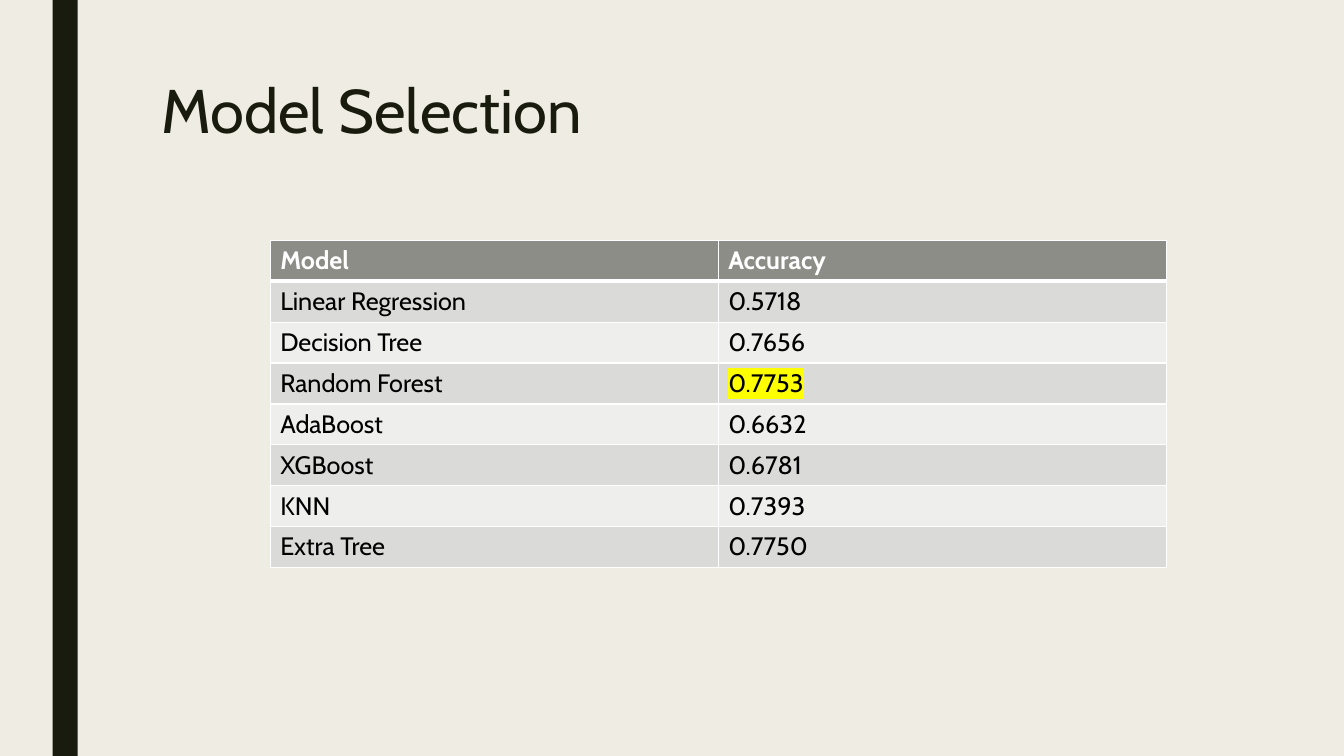
from lxml.etree import SubElement
from pptx import Presentation
from pptx.dml.color import RGBColor
from pptx.enum.shapes import MSO_SHAPE
from pptx.enum.text import MSO_ANCHOR
from pptx.oxml.ns import qn
from pptx.util import Pt

FONT = "Cabin"
CREAM = RGBColor(0xEF, 0xED, 0xE3)
DARK = RGBColor(0x19, 0x1B, 0x0E)
WHITE = RGBColor(0xFF, 0xFF, 0xFF)
BLACK = RGBColor(0x00, 0x00, 0x00)
HEADER_GRAY = RGBColor(0x8C, 0x8D, 0x86)
BANDS = (RGBColor(0xEE, 0xEE, 0xED), RGBColor(0xDA, 0xDB, 0xD9))
YELLOW = RGBColor(0xFF, 0xFF, 0x00)

HEADER = ("Model", "Accuracy")
SCORES = (
    ("Linear Regression", "0.5718"),
    ("Decision Tree", "0.7656"),
    ("Random Forest", "0.7753"),
    ("AdaBoost", "0.6632"),
    ("XGBoost", "0.6781"),
    ("KNN", "0.7393"),
    ("Extra Tree", "0.7750"),
)
BEST = max(score for model, score in SCORES)


def style_font(font, size, color, bold=False):
    """Set the typeface, size, colour and weight of a font."""
    font.name = FONT
    font.size = Pt(size)
    font.color.rgb = color
    font.bold = bold


def add_color(parent, tag, color):
    """Append an element that holds one RGB colour."""
    SubElement(SubElement(parent, qn(tag)), qn("a:srgbClr"), val=str(color))


def add_side_bar(page, left, top, width, height):
    """Draw the dark vertical bar."""
    bar = page.shapes.add_shape(MSO_SHAPE.RECTANGLE, Pt(left), Pt(top), Pt(width), Pt(height))
    bar.shadow.inherit = False
    bar.fill.solid()
    bar.fill.fore_color.rgb = DARK
    bar.line.fill.background()


def add_title(page, text, left, top, width, height):
    """Place the slide title at the top of its box."""
    box = page.shapes.add_textbox(Pt(left), Pt(top), Pt(width), Pt(height))
    frame = box.text_frame
    frame.word_wrap = True
    frame.vertical_anchor = MSO_ANCHOR.TOP
    para = frame.paragraphs[0]
    para.text = text
    para.line_spacing = 0.89
    style_font(para.font, 44, DARK)


def add_borders(cell, bottom, top):
    """Give a cell white borders."""
    properties = cell._tc.get_or_add_tcPr()
    for side, width in (("L", 1), ("R", 1), ("T", top), ("B", bottom)):
        line = SubElement(properties, qn(f"a:ln{side}"), w=str(Pt(width)))
        add_color(line, "a:solidFill", WHITE)


def add_score_table(page, left, top, width, height):
    """Fill the box with the accuracy table, marking the best score."""
    rows = (HEADER,) + SCORES
    frame = page.shapes.add_table(len(rows), len(HEADER), Pt(left), Pt(top), Pt(width), Pt(height))
    for row_index, values in enumerate(rows):
        is_header = row_index == 0
        for column_index, value in enumerate(values):
            cell = frame.table.cell(row_index, column_index)
            add_borders(cell, bottom=3 if is_header else 1, top=3 if row_index == 1 else 1)
            cell.fill.solid()
            cell.fill.fore_color.rgb = HEADER_GRAY if is_header else BANDS[row_index % 2]
            para = cell.text_frame.paragraphs[0]
            span = para.add_run()
            span.text = value
            style_font(para.font, 18, WHITE if is_header else BLACK, is_header)
            if value == BEST:
                add_color(span._r.get_or_add_rPr(), "a:highlight", YELLOW)


def main():
    """Build the model selection slide."""
    deck = Presentation()
    deck.slide_width, deck.slide_height = Pt(960), Pt(540)
    page = deck.slides.add_slide(deck.slide_layouts[6])
    page.background.fill.solid()
    page.background.fill.fore_color.rgb = CREAM
    add_side_bar(page, 37.5, 0, 18, 540)
    add_title(page, "Model Selection", 108, 54, 756, 116.5)
    add_score_table(page, 193, 171.75, 640, 233.6)
    deck.save("out.pptx")


if __name__ == "__main__":
    main()
